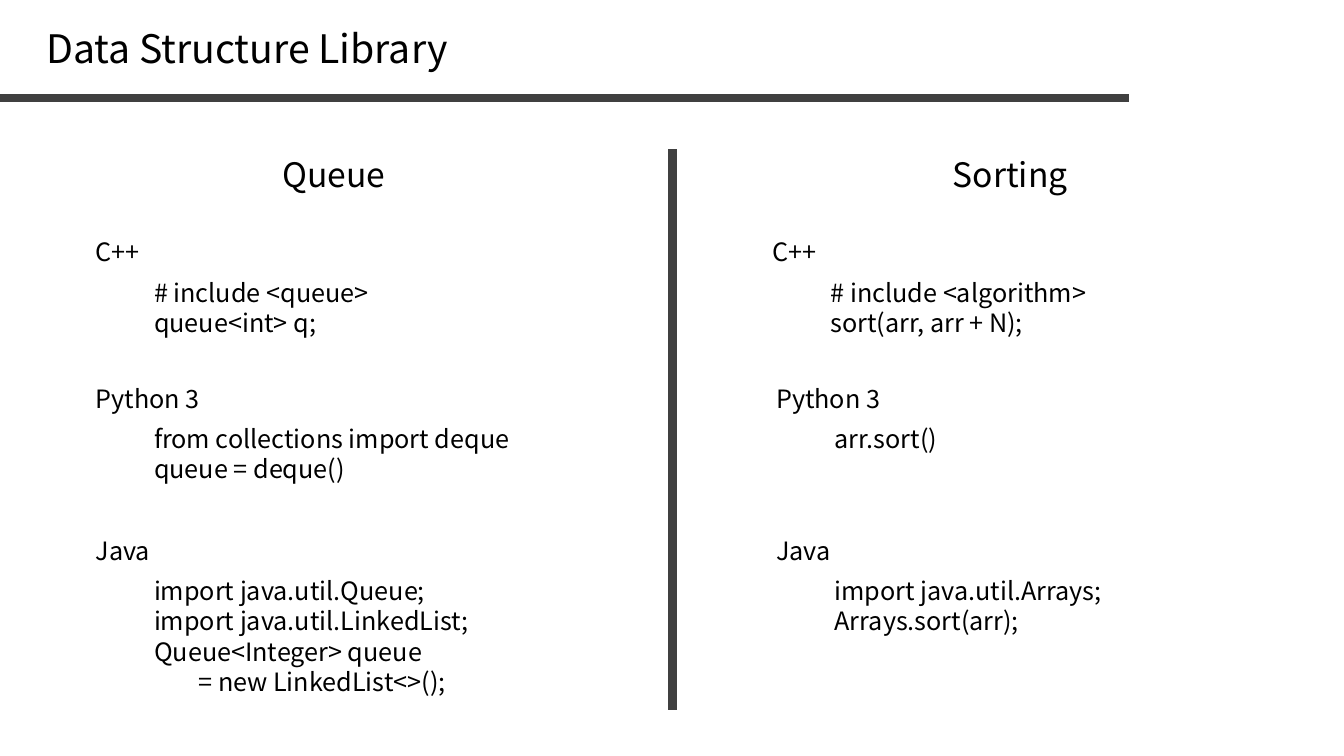
from dataclasses import dataclass

from lxml.etree import SubElement
from pptx import Presentation
from pptx.dml.color import RGBColor
from pptx.enum.shapes import MSO_CONNECTOR
from pptx.enum.text import MSO_AUTO_SIZE, PP_ALIGN
from pptx.oxml.ns import qn
from pptx.slide import Slide
from pptx.util import Emu, Pt

PX = 9144
COLOURS = {"text": "000000", "rule": "404040"}
FONT = "Noto Sans CJK KR"
CODE_INDENT = 58
CONTINUATION_INDENT = 44
HEADING_TOP = 148
LANGUAGE_TOPS = {"C++": 230, "Python 3": 375, "Java": 526}
LABEL_HEIGHT = 40
LINE_HEIGHT = 30


@dataclass(frozen=True)
class Label:
    lines: tuple[str, ...]
    left: int
    top: int
    width: int
    height: int
    size: int = 18
    align: PP_ALIGN = PP_ALIGN.LEFT
    wrap: bool = True


@dataclass(frozen=True)
class Rule:
    start: tuple[int, int]
    end: tuple[int, int]


@dataclass(frozen=True)
class Snippet:
    language: str
    left: int
    lines: tuple[str, ...]


@dataclass(frozen=True)
class Topic:
    heading: str
    left: int
    snippets: tuple[Snippet, ...]


TITLE = Label(("Data Structure Library",), 36, 19, 431, 57, size=28, wrap=False)
RULES = (Rule((0, 97), (1120, 97)), Rule((667, 704), (667, 148)))
TOPICS = (
    Topic("Queue", 227, (
        Snippet("C++", 85, ("# include <queue>", "queue<int> q;")),
        Snippet("Python 3", 85, ("from collections import deque", "queue = deque()")),
        Snippet("Java", 85, (
            "import java.util.Queue;",
            "import java.util.LinkedList;",
            "Queue<Integer> queue",
            "= new LinkedList<>();",
        )),
    )),
    Topic("Sorting", 898, (
        Snippet("C++", 756, ("# include <algorithm>", "sort(arr, arr + N);")),
        Snippet("Python 3", 760, ("arr.sort()",)),
        Snippet("Java", 760, ("import java.util.Arrays;", "Arrays.sort(arr);")),
    )),
)


def px(length: int) -> Emu:
    return Emu(length * PX)


def draw_label(page: Slide, label: Label) -> None:
    box = page.shapes.add_textbox(
        px(label.left), px(label.top), px(label.width), px(label.height)
    )
    frame = box.text_frame
    frame.word_wrap = label.wrap
    frame.auto_size = MSO_AUTO_SIZE.SHAPE_TO_FIT_TEXT
    formats = {"name": FONT, "size": Pt(label.size)}
    for index, line in enumerate(label.lines):
        para = frame.add_paragraph() if index else frame.paragraphs[0]
        para.alignment = label.align
        if line.startswith("="):
            para._p.get_or_add_pPr().set("marL", str(px(CONTINUATION_INDENT)))
        span = para.add_run()
        span.text = line
        for name, value in formats.items():
            setattr(span.font, name, value)
        span.font.color.rgb = RGBColor.from_string(COLOURS["text"])


def draw_rule(page: Slide, rule: Rule) -> None:
    connector = page.shapes.add_connector(
        MSO_CONNECTOR.STRAIGHT, *map(px, rule.start + rule.end)
    )
    connector.line.width = Pt(6)
    connector.line.color.rgb = RGBColor.from_string(COLOURS["rule"])
    SubElement(connector._element.spPr, qn("a:effectLst"))


def draw_topic(page: Slide, topic: Topic) -> None:
    draw_label(page, Label(
        (topic.heading,), topic.left, HEADING_TOP, 208, 50,
        size=24, align=PP_ALIGN.CENTER,
    ))
    for snippet in topic.snippets:
        top = LANGUAGE_TOPS[snippet.language]
        draw_label(page, Label((snippet.language,), snippet.left, top, 376, LABEL_HEIGHT))
        height = LABEL_HEIGHT + LINE_HEIGHT * (len(snippet.lines) - 1)
        draw_label(page, Label(
            snippet.lines, snippet.left + CODE_INDENT, top + LABEL_HEIGHT, 376, height
        ))


def main() -> None:
    deck = Presentation()
    deck.slide_width, deck.slide_height = px(1333), px(750)
    page = deck.slides.add_slide(deck.slide_layouts[6])
    for rule in RULES:
        draw_rule(page, rule)
    draw_label(page, TITLE)
    for topic in TOPICS:
        draw_topic(page, topic)
    deck.save("out.pptx")


if __name__ == "__main__":
    main()
